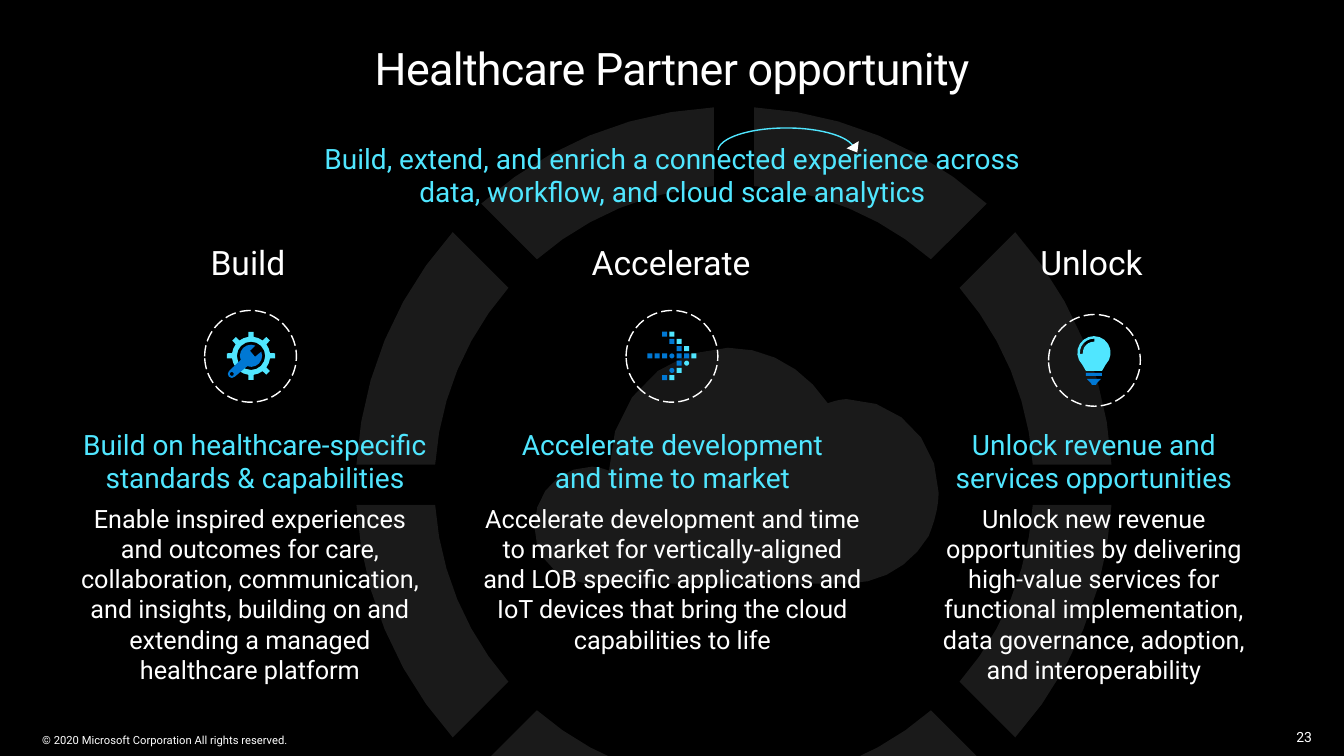
"""Build the Healthcare Partner opportunity slide."""
import math
from dataclasses import dataclass
from typing import Callable

import pptx
import pptx.dml.color
import pptx.enum.dml
import pptx.enum.shapes
import pptx.enum.text
import pptx.oxml
import pptx.oxml.ns
import pptx.util

Inches = pptx.util.Inches
Shape = pptx.enum.shapes.MSO_SHAPE
Align = pptx.enum.text.PP_ALIGN
Point = tuple[float, float]

WHITE, BLACK, CYAN, BLUE = "FFFFFF", "000000", "50E6FF", "0078D4"
RING_CENTER = (7.28, 4.81)
OUTER_RADIUS, INNER_RADIUS, HALF_GAP = 3.75, 2.97, 0.2
CLOUD_START = (9.31, 4.89)
CLOUD_CURVES = [
    ((9.31, 4.38), (8.91, 3.96), (8.4, 3.96)),
    ((8.34, 3.96), (8.27, 3.98), (8.21, 4)),
    ((7.99, 3.67), (7.64, 3.45), (7.22, 3.45)),
    ((6.57, 3.45), (6.04, 3.98), (6.04, 4.67)),
    ((5.98, 4.65), (5.93, 4.63), (5.87, 4.63)),
    ((5.55, 4.63), (5.3, 4.89), (5.3, 5.22)),
    ((5.3, 5.52), (5.51, 5.75), (5.81, 5.79)),
    ((6.67, 5.79), (7.54, 5.79), (8.4, 5.79)),
    ((8.76, 5.79), (9.05, 5.59), (9.21, 5.32)),
    ((9.26, 5.2), (9.31, 5.04), (9.31, 4.89)),
]
ARROW_DOTS = ["  bc", "   bc", "    bc", "bbbBbbc", "    bC", "   Bc", "  bc"]


@dataclass
class Label:
    """A text box with one style; a newline is a line break."""
    text: str
    left: float
    top: float
    width: float
    height: float
    size: float
    color: str = WHITE
    align: Align = Align.CENTER
    inset: float = 0
    wrap: bool = True
    spacing: int = 0


@dataclass
class Icon:
    """A dashed badge and the function that draws its symbol."""
    left: float
    top: float
    draw: Callable


LABELS = [
    Label("Healthcare Partner opportunity", 0.64, 0.4, 12.05, 0.54, 32, spacing=-50),
    Label("Build, extend, and enrich a connected experience across data, workflow, "
          "and cloud scale analytics", 2.98, 1.35, 7.38, 0.77, 20, CYAN, inset=0.1),
    Label("Build", 1.99, 2.35, 0.98, 0.5, 24, align=Align.LEFT, inset=0.1, wrap=False),
    Label("Accelerate", 5.77, 2.35, 1.79, 0.5, 24, align=Align.LEFT, inset=0.1, wrap=False),
    Label("Unlock", 10.22, 2.35, 1.26, 0.5, 24, align=Align.LEFT, inset=0.1, wrap=False),
    Label("Build on healthcare-specific standards & capabilities",
          0.73, 4.24, 3.6, 0.74, 20, CYAN),
    Label("Accelerate development and time to market", 4.92, 4.24, 3.5, 0.74, 20, CYAN),
    Label("Unlock revenue and services opportunities", 9.1, 4.24, 3.5, 0.74, 20, CYAN),
    Label("Enable inspired experiences and outcomes for care, collaboration, "
          "communication, and insights, building on and extending a managed "
          "healthcare platform", 0.73, 4.99, 3.5, 1.58, 18),
    Label("Accelerate development and time to market for vertically-aligned and LOB "
          "specific applications and IoT devices that bring the cloud capabilities "
          "to life", 4.77, 4.99, 3.8, 1.58, 18),
    Label("Unlock new revenue opportunities by delivering high-value services for "
          "functional implementation, data governance, adoption,\n"
          "and interoperability", 9.1, 4.99, 3.5, 1.99, 18),
    Label("© 2020 Microsoft Corporation All rights reserved.",
          0.32, 7.23, 4.64, 0.24, 8, align=Align.LEFT, inset=0.1),
    Label("23", 12.69, 7.18, 0.42, 0.27, 10, align=Align.RIGHT, inset=0.1),
]


def rgb(color: str) -> pptx.dml.color.RGBColor:
    return pptx.dml.color.RGBColor.from_string(color)


def paint(shape, color: str, opacity: int = 100) -> None:
    shape.shadow.inherit = False
    shape.line.fill.background()
    shape.fill.solid()
    shape.fill.fore_color.rgb = rgb(color)
    if opacity < 100:
        tint = shape.fill._xPr.find(".//" + pptx.oxml.ns.qn("a:srgbClr"))
        tint.append(pptx.oxml.parse_xml(
            f'<a:alpha {pptx.oxml.ns.nsdecls("a")} val="{opacity * 1000}"/>'))


def add_preset(shapes, kind: Shape, left: float, top: float, width: float,
               height: float, color: str, opacity: int = 100):
    shape = shapes.add_shape(kind, Inches(left), Inches(top), Inches(width), Inches(height))
    paint(shape, color, opacity)
    return shape


def add_outline(shapes, contours: list[list[Point]], color: str, opacity: int = 100) -> None:
    scaled = [[(Inches(x), Inches(y)) for x, y in contour] for contour in contours]
    builder = shapes.build_freeform(*scaled[0][0])
    builder.add_line_segments(scaled[0][1:], close=True)
    for hole in scaled[1:]:
        builder.move_to(*hole[0])
        builder.add_line_segments(hole[1:], close=True)
    paint(builder.convert_to_shape(), color, opacity)


def arc(center: Point, radius: float, start: float, end: float, steps: int = 6) -> list[Point]:
    angles = [math.radians(start + (end - start) * i / steps) for i in range(steps + 1)]
    return [(center[0] + radius * math.cos(a), center[1] + radius * math.sin(a))
            for a in angles]


def sector(center: Point, outer: float, inner: float, start: float, end: float,
           half_gap: float = 0) -> list[Point]:
    trim_outer, trim_inner = (math.degrees(math.asin(half_gap / r)) for r in (outer, inner))
    return (arc(center, outer, start + trim_outer, end - trim_outer)
            + arc(center, inner, end - trim_inner, start + trim_inner))


def curve(start: Point, curves: list[tuple[Point, Point, Point]], steps: int = 5) -> list[Point]:
    points = [start]
    for first, second, end in curves:
        origin = points[-1]
        for t in (i / steps for i in range(1, steps + 1)):
            weights = ((1 - t) ** 3, 3 * t * (1 - t) ** 2, 3 * t * t * (1 - t), t ** 3)
            points.append(tuple(sum(w * p[axis] for w, p in zip(
                weights, (origin, first, second, end))) for axis in (0, 1)))
    return points


def draw_tools(shapes) -> None:
    center, knob = (2.49, 3.53), (2.3, 3.71)
    gear = []
    for angle in range(0, 360, 45):
        gear += arc(center, 0.24, angle - 6, angle + 6, 1)
        gear += arc(center, 0.19, angle + 8, angle + 37, 2)
    add_outline(shapes, [gear, arc(center, 0.14, 0, 360, 16)], CYAN)
    wrench = (arc(center, 0.11, -22, 110) + arc(knob, 0.04, 45, 225, 4)
              + arc(center, 0.11, 158, 293) + [(2.48, 3.48), (2.53, 3.54)])
    add_outline(shapes, [wrench, arc(knob, 0.02, 0, 360, 8)], BLUE)


def draw_dotted_arrow(shapes) -> None:
    for row, dots in enumerate(ARROW_DOTS):
        for column, dot in enumerate(dots):
            if dot != " ":
                add_preset(shapes, Shape.OVAL if dot.isupper() else Shape.RECTANGLE,
                           6.42 + column * 0.073, 3.29 + row * 0.072, 0.05, 0.05,
                           BLUE if dot.lower() == "b" else CYAN)


def draw_bulb(shapes) -> None:
    center = (10.85, 3.5)
    add_preset(shapes, Shape.ROUNDED_RECTANGLE, 10.77, 3.7, 0.16, 0.03, BLUE)
    add_outline(shapes, [[(10.78, 3.76), (10.92, 3.76), (10.88, 3.8),
                          (10.87, 3.82), (10.83, 3.82), (10.82, 3.8)]], BLUE)
    glass = arc(center, 0.165, 135, 405, 14) + [(10.93, 3.68), (10.77, 3.68)]
    add_outline(shapes, [glass, sector(center, 0.14, 0.11, 175, 272)], CYAN)


def add_icon(page, icon: Icon) -> None:
    shapes = page.shapes.add_group_shape().shapes
    badge = add_preset(shapes, Shape.OVAL, icon.left, icon.top, 0.91, 0.91, BLACK, 15)
    badge.line.color.rgb = rgb(WHITE)
    badge.line.width = pptx.util.Pt(1)
    badge.line.dash_style = pptx.enum.dml.MSO_LINE.LONG_DASH
    icon.draw(shapes)


def add_label(page, label: Label) -> None:
    box = page.shapes.add_textbox(Inches(label.left), Inches(label.top),
                                  Inches(label.width), Inches(label.height))
    frame = box.text_frame
    frame.word_wrap = label.wrap
    frame.margin_left = frame.margin_right = Inches(label.inset)
    frame.margin_top = frame.margin_bottom = Inches(label.inset / 2)
    para = frame.paragraphs[0]
    para.alignment = label.align
    for index, line in enumerate(label.text.split("\n")):
        if index:
            para.add_line_break()
        span = para.add_run()
        span.text = line
        span.font.name = "Roboto"
        span.font.size = pptx.util.Pt(label.size)
        span.font.color.rgb = rgb(label.color)
        if label.spacing:
            span.font._element.set("spc", str(label.spacing))


def add_swoosh(page) -> None:
    swoosh = page.shapes.add_shape(Shape.ARC, Inches(7.12), Inches(1.27),
                                   Inches(1.36), Inches(0.46))
    swoosh.shadow.inherit = False
    swoosh.adjustments[0], swoosh.adjustments[1] = 108.58, 215.83
    swoosh.fill.background()
    swoosh.line.color.rgb = rgb(CYAN)
    swoosh.line.width = pptx.util.Pt(1)
    tip = add_preset(page.shapes, Shape.ISOSCELES_TRIANGLE, 8.41, 1.43, 0.14, 0.09, WHITE)
    tip.rotation = 149.4


def main() -> None:
    deck = pptx.Presentation()
    deck.slide_width, deck.slide_height = Inches(13.33), Inches(7.5)
    page = deck.slides.add_slide(deck.slide_layouts[6])
    page.background.fill.solid()
    page.background.fill.fore_color.rgb = rgb(BLACK)
    emblem = page.shapes.add_group_shape().shapes
    for start in range(0, 360, 45):
        add_outline(emblem, [sector(RING_CENTER, OUTER_RADIUS, INNER_RADIUS,
                                    start, start + 45, HALF_GAP)], WHITE, 10)
    add_outline(emblem, [curve(CLOUD_START, CLOUD_CURVES)], WHITE, 10)
    for label in LABELS:
        add_label(page, label)
    for icon in (Icon(2.03, 3.08, draw_tools), Icon(6.21, 3.08, draw_dotted_arrow),
                 Icon(10.4, 3.12, draw_bulb)):
        add_icon(page, icon)
    add_swoosh(page)
    deck.save("out.pptx")


if __name__ == "__main__":
    main()
